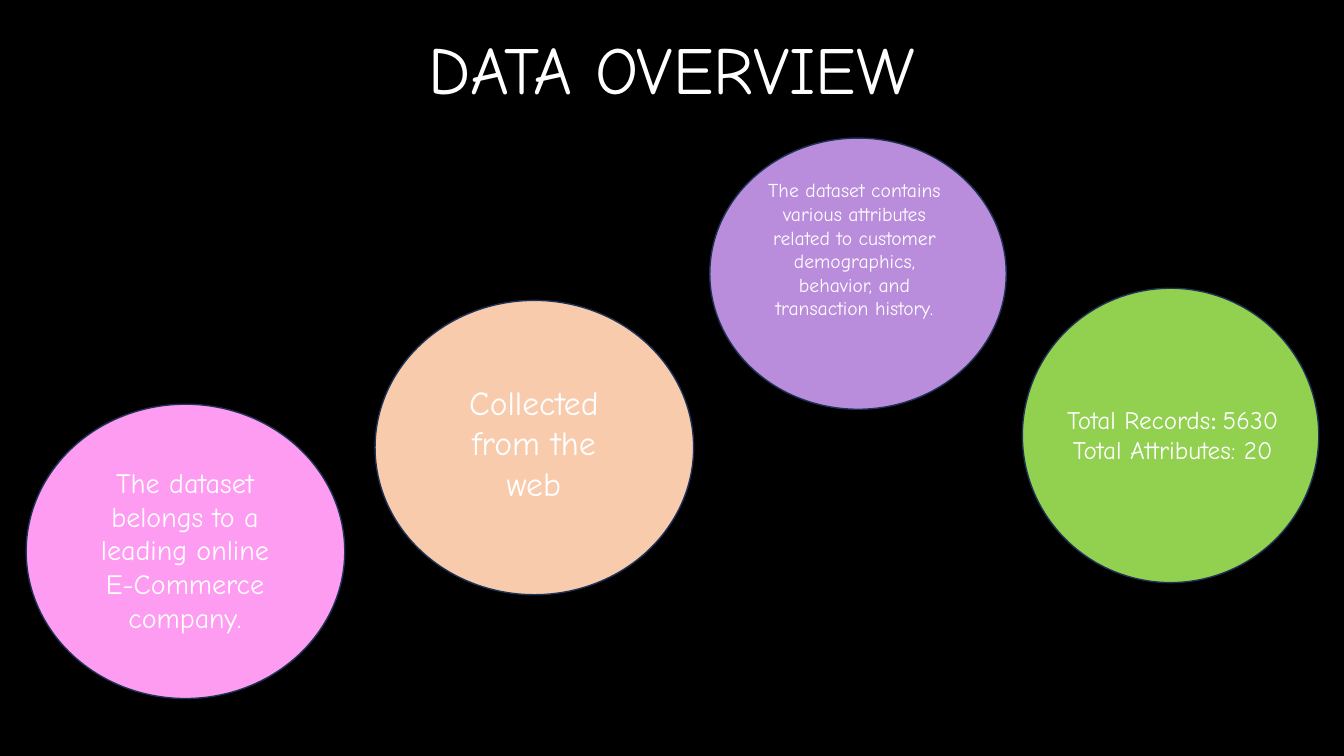
from pptx import Presentation
from pptx.dml.color import RGBColor
from pptx.enum.shapes import MSO_SHAPE
from pptx.enum.text import MSO_ANCHOR, MSO_AUTO_SIZE, PP_ALIGN
from pptx.util import Inches, Pt

OVAL = MSO_SHAPE.OVAL
TOP = MSO_ANCHOR.TOP
FIXED = MSO_AUTO_SIZE.NONE
CENTER = PP_ALIGN.CENTER

FONT = "Comic Neue"
COLORS = {
    "back": "000000", "text": "FFFFFF", "edge": "1E3256",
    "pink": "FE9CF2", "peach": "F8CBAD", "purple": "BA8CDC", "green": "92D050",
}

# Content: each paragraph is a list of (text, font) runs
TITLE = [[("DATA OVERVIEW", FONT)]]
TITLE_BOX = (3.39, 0.22, 6.54, 0.91)

# Fill, circle box, text box, text size, paragraphs
FACTS = [
    ("pink", (0.26, 4.01, 3.16, 2.92), (0.75, 4.57, 2.17, 1.78), 20,
     [[("The dataset belongs to a leading online E-Commerce company.", FONT)]]),
    ("peach", (3.72, 2.98, 3.16, 2.92), (4.32, 3.74, 1.95, 1.62), 24,
     [[("Collected from a website", FONT)]]),
    ("purple", (7.04, 1.37, 2.94, 2.69), (7.47, 1.72, 2.01, 1.75), 14,
     [[("The dataset contains various attributes related to customer "
        "demographics, behavior, and transaction history.", FONT)]]),
    ("green", (10.14, 2.86, 2.94, 2.92), (10.23, 3.96, 2.8, 0.71), 18,
     [[("Total Records", FONT), (": ", "Calibri"), ("5630", FONT)],
      [("Total Attributes: 20", FONT)]]),
]
FACTS[1][4][0][0] = ("Collected from the web", FONT)


def color(name):
    return RGBColor.from_string(COLORS[name])


def inches(box):
    return [Inches(v) for v in box]


def write(frame, paras, size):
    frame.word_wrap = True
    frame.auto_size = FIXED
    frame.vertical_anchor = TOP
    for i, runs in enumerate(paras):
        para = frame.add_paragraph() if i else frame.paragraphs[0]
        para.alignment = CENTER
        for text, font in runs:
            run = para.add_run()
            run.text = text
            run.font.name = font
            run.font.size = Pt(size)
            run.font.color.rgb = color("text")


def add_circle(slide, fill, box):
    circle = slide.shapes.add_shape(OVAL, *inches(box))
    circle.shadow.inherit = False
    circle.fill.solid()
    circle.fill.fore_color.rgb = color(fill)
    circle.line.color.rgb = color("edge")
    circle.line.width = Pt(1)


def main():
    deck = Presentation()
    deck.slide_width, deck.slide_height = Inches(13.33), Inches(7.5)
    slide = deck.slides.add_slide(deck.slide_layouts[5])
    slide.background.fill.solid()
    slide.background.fill.fore_color.rgb = color("back")

    # Title
    title = slide.shapes.title
    title.left, title.top, title.width, title.height = inches(TITLE_BOX)
    write(title.text_frame, TITLE, 48)

    # Circles with their facts
    for fill, ring, box, size, paras in FACTS:
        add_circle(slide, fill, ring)
        label = slide.shapes.add_textbox(*inches(box))
        write(label.text_frame, paras, size)

    deck.save("out.pptx")


if __name__ == "__main__":
    main()
